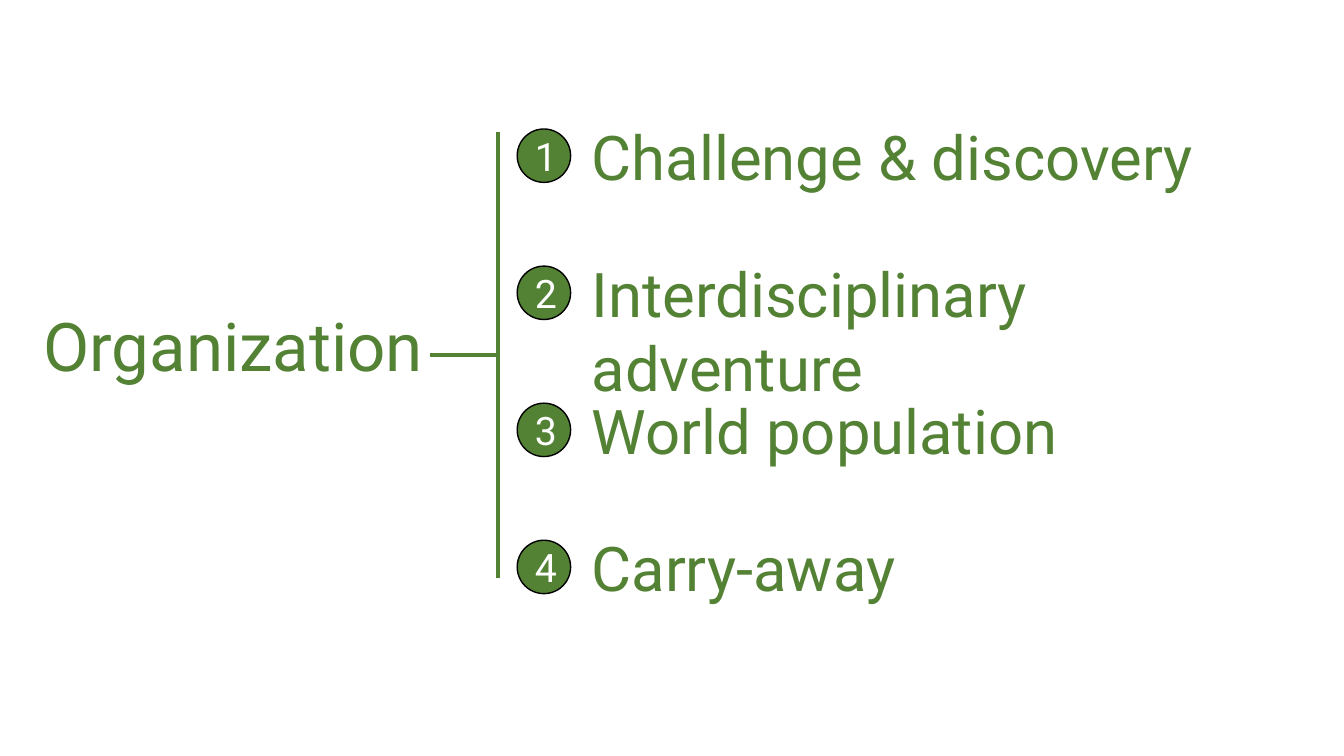
from lxml import etree
from pptx import Presentation
from pptx.dml.color import RGBColor
from pptx.enum.shapes import MSO_CONNECTOR, MSO_SHAPE
from pptx.enum.text import MSO_ANCHOR, MSO_AUTO_SIZE, PP_ALIGN
from pptx.oxml.ns import qn
from pptx.util import Inches, Pt

STRAIGHT = MSO_CONNECTOR.STRAIGHT
OVAL = MSO_SHAPE.OVAL
TOP, MIDDLE = MSO_ANCHOR.TOP, MSO_ANCHOR.MIDDLE
LEFT, CENTER, RIGHT = PP_ALIGN.LEFT, PP_ALIGN.CENTER, PP_ALIGN.RIGHT
NO_AUTOFIT = MSO_AUTO_SIZE.NONE
COLORS = {"green": "548235", "white": "FFFFFF", "black": "000000"}


def color(name):
    return RGBColor.from_string(COLORS[name])


def write(shape, text, size, color_name, align, anchor):
    frame = shape.text_frame
    frame.text = text
    frame_format = {"word_wrap": True, "auto_size": NO_AUTOFIT, "vertical_anchor": anchor}
    for attribute, value in frame_format.items():
        setattr(frame, attribute, value)
    paragraph = frame.paragraphs[0]
    paragraph.alignment = align
    for attribute, value in {"name": "Roboto", "size": Pt(size)}.items():
        setattr(paragraph.font, attribute, value)
    paragraph.font.color.rgb = color(color_name)


prs = Presentation()
prs.slide_width, prs.slide_height = Inches(13.33), Inches(7.5)
slide = prs.slides.add_slide(prs.slide_layouts[5])
shapes = slide.shapes

heading = shapes.title
heading_place = {"left": 0.19, "top": 2.97, "width": 4.11, "height": 0.91}
for attribute, value in heading_place.items():
    setattr(heading, attribute, Inches(value))
write(heading, "Organization", 48, "green", RIGHT, TOP)

bracket = [(4.94, 1.31, 4.94, 5.73), (4.27, 3.52, 4.93, 3.52)]
for ends in bracket:
    stroke = shapes.add_connector(STRAIGHT, *map(Inches, ends))
    stroke.line.color.rgb = color("green")
    stroke.line.width = Pt(3)
    etree.SubElement(stroke.element.spPr, qn("a:effectLst"))

topics = [
    ("Challenge & discovery", 6.51),
    ("Interdisciplinary adventure", 7.15),
    ("World population", 6.08),
    ("Carry-away", 4.54),
]
first_top, pitch, diameter = 1.28, 1.36, 0.53
for index, (topic, topic_width) in enumerate(topics):
    top = first_top + index * pitch
    number = shapes.add_shape(
        OVAL, Inches(5.13), Inches(top), Inches(diameter), Inches(diameter)
    )
    number.shadow.inherit = False
    number.fill.solid()
    number.fill.fore_color.rgb = color("green")
    number.line.color.rgb = color("black")
    number.line.width = Pt(1)
    write(number, str(index + 1), 28, "white", CENTER, MIDDLE)

    label = shapes.add_textbox(
        Inches(5.77), Inches(top - 0.15), Inches(topic_width), Inches(0.84)
    )
    write(label, topic, 44, "green", LEFT, TOP)

prs.save("out.pptx")
